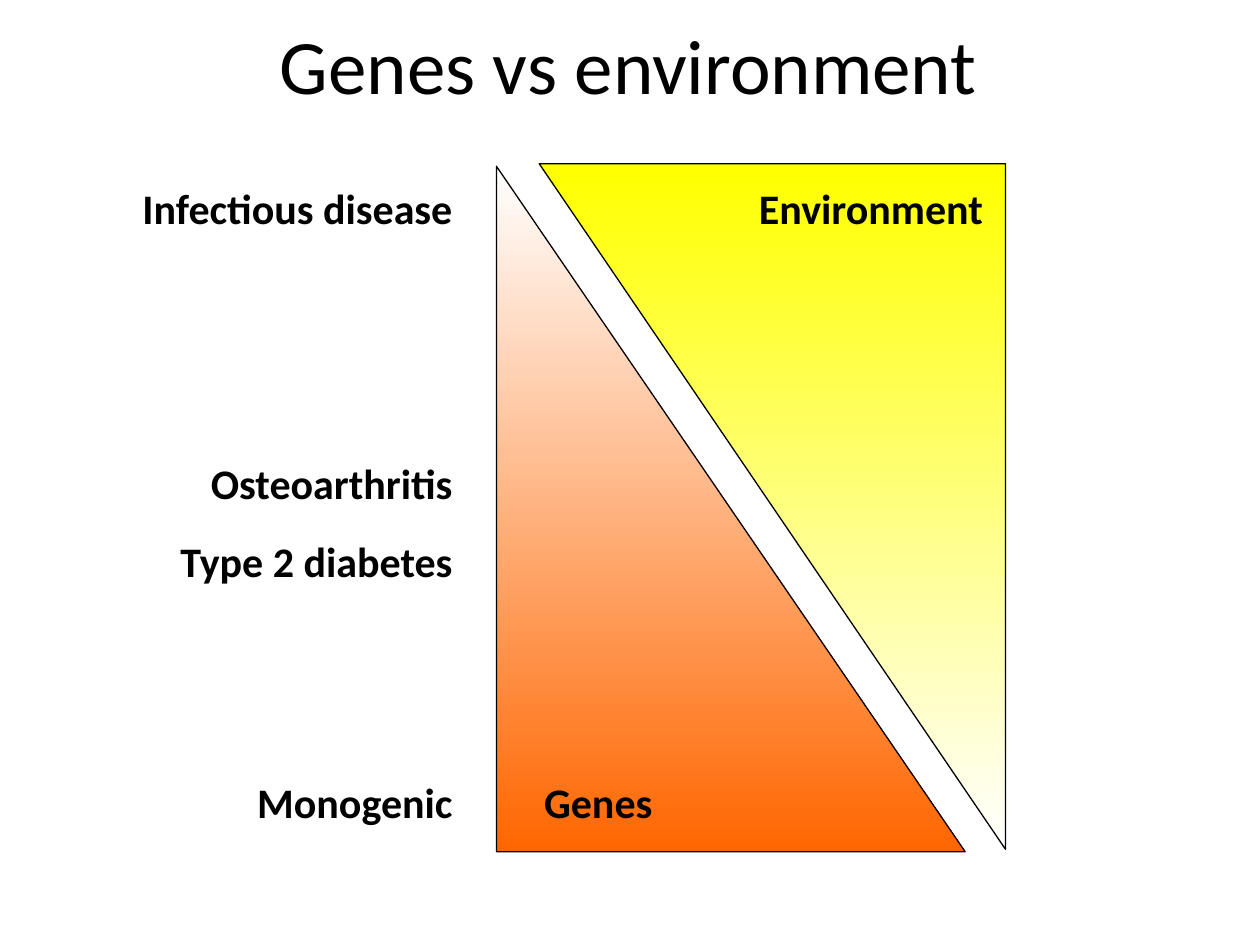
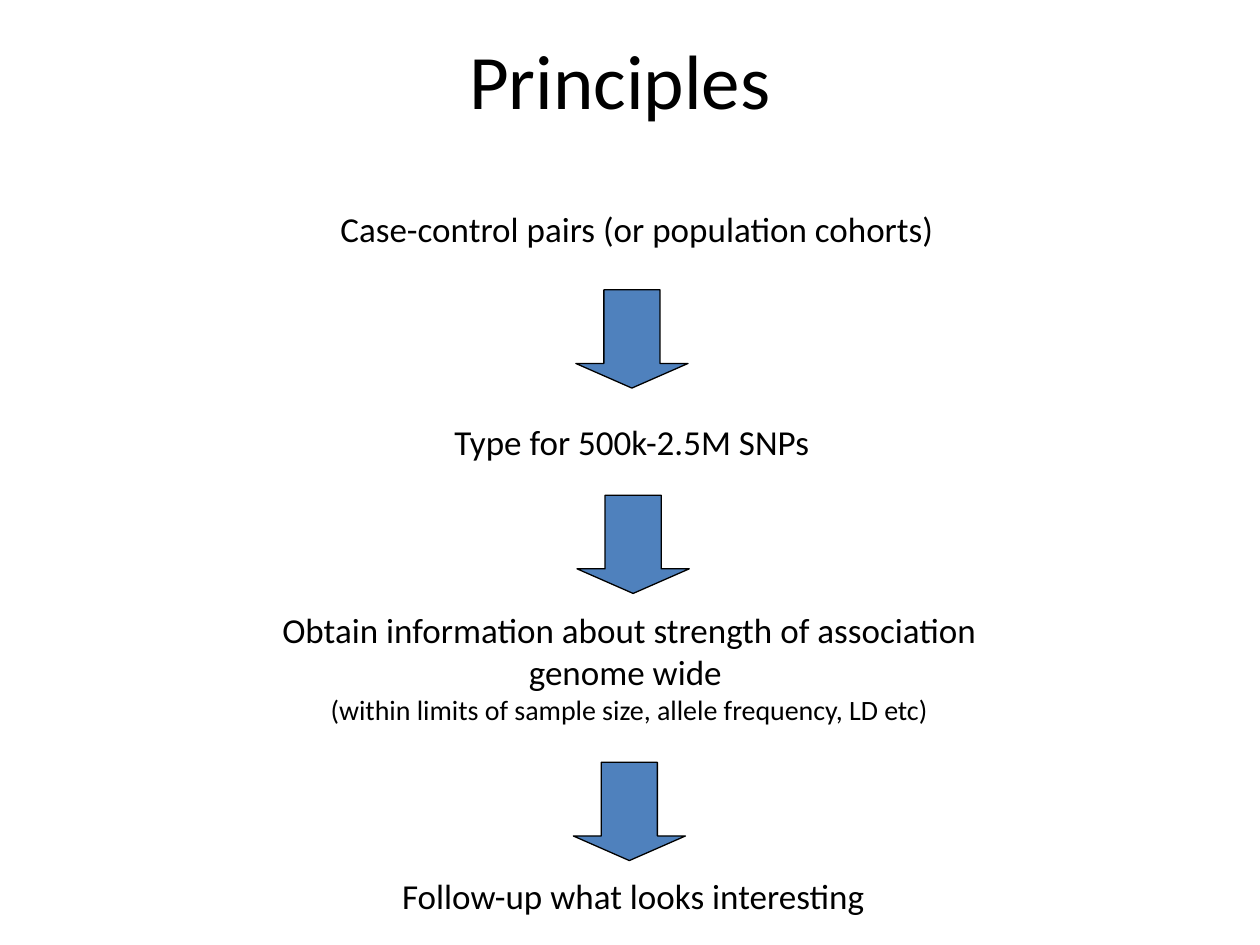
from dataclasses import dataclass
from typing import Any

from pptx import Presentation
from pptx.dml.color import RGBColor
from pptx.enum import shapes, text
from pptx.util import Inches, Pt

WIDE, HIGH = Inches(10), Inches(7.5)
COLS, ROWS = 100, 75
LEFT, MID, RIGHT = text.PP_ALIGN.LEFT, text.PP_ALIGN.CENTER, text.PP_ALIGN.RIGHT
KIND = shapes.MSO_SHAPE


@dataclass(frozen=True)
class Theme:
    font: str = "Calibri"
    ink: str = "000000"
    pale: str = "FFFFFF"
    world: str = "FFFF00"
    gene: str = "FF6600"
    arrow: str = "4F81BD"
    title: int = 44
    label: int = 24
    step: int = 20
    note: int = 16
    line: float = 0.75


@dataclass(frozen=True)
class Box:
    col: float
    row: float
    cols: float
    rows: float

    def place(self) -> tuple[int, int, int, int]:
        return (round(WIDE * self.col / COLS), round(HIGH * self.row / ROWS),
                round(WIDE * self.cols / COLS), round(HIGH * self.rows / ROWS))


@dataclass(frozen=True)
class Label:
    words: str
    box: Box
    align: Any = MID
    size: int = 20
    bold: bool = False
    wrap: bool = True
    anchor: Any = text.MSO_ANCHOR.TOP
    note: str = ""


@dataclass(frozen=True)
class Wedge:
    box: Box
    tint: str
    turn: int = 0


LOOK = Theme()


def apply(item: Any, form: dict[str, Any]) -> None:
    for name, value in form.items():
        setattr(item, name, value)


def style(run: Any, size: int, bold: bool) -> None:
    apply(run.font, {"name": LOOK.font, "size": Pt(size), "bold": bold})
    run.font.color.rgb = RGBColor.from_string(LOOK.ink)


def write(slide: Any, label: Label) -> None:
    frame = slide.shapes.add_textbox(*label.box.place()).text_frame
    apply(frame, {"word_wrap": label.wrap, "vertical_anchor": label.anchor})
    for num, line in enumerate(label.words.split("\n")):
        para = frame.add_paragraph() if num else frame.paragraphs[0]
        para.alignment = label.align
        run = para.add_run()
        run.text = line
        style(run, label.size, label.bold)
    if label.note:
        para.add_line_break()
        run = para.add_run()
        run.text = label.note
        style(run, LOOK.note, label.bold)


def draw(slide: Any, kind: Any, box: Box) -> Any:
    shape = slide.shapes.add_shape(kind, *box.place())
    shape.shadow.inherit = False
    shape.line.color.rgb = RGBColor.from_string(LOOK.ink)
    shape.line.width = Pt(LOOK.line)
    return shape


def shade(slide: Any, wedge: Wedge) -> None:
    shape = draw(slide, KIND.RIGHT_TRIANGLE, wedge.box)
    shape.rotation = wedge.turn
    shape.fill.gradient()
    shape.fill.gradient_angle = 270
    for stop, tint, spot in zip(shape.fill.gradient_stops, (LOOK.pale, wedge.tint), (0, 1)):
        stop.color.rgb = RGBColor.from_string(tint)
        stop.position = spot


def point(slide: Any, box: Box) -> None:
    shape = draw(slide, KIND.DOWN_ARROW, box)
    shape.adjustments[1] = 0.25
    shape.fill.solid()
    shape.fill.fore_color.rgb = RGBColor.from_string(LOOK.arrow)


def start(deck: Any, title: str, row: float) -> Any:
    slide = deck.slides.add_slide(deck.slide_layouts[6])
    write(slide, Label(title, Box(4.9, row, 90, 12.5), size=LOOK.title,
                       anchor=text.MSO_ANCHOR.MIDDLE))
    return slide


def contrast(deck: Any) -> None:
    slide = start(deck, "Genes vs environment", -1.2)
    for wedge in (Wedge(Box(42.8, 13, 37, 54.4), LOOK.world, 180),
                  Wedge(Box(39.4, 13.2, 37.2, 54.4), LOOK.gene)):
        shade(slide, wedge)
    ills = {"Infectious disease": 14, "Osteoarthritis": 35.8,
            "Type 2 diabetes": 42, "Monogenic": 61.1}
    for words, row in ills.items():
        write(slide, Label(words, Box(4, row, 32.9, 5), RIGHT, LOOK.label, True))
    write(slide, Label("Environment", Box(47.6, 14, 31.4, 5), RIGHT, LOOK.label, True))
    write(slide, Label("Genes", Box(42.2, 61.1, 10.7, 5), LEFT, LOOK.label, True, False))


def flow(deck: Any) -> None:
    slide = start(deck, "Principles ", 0)
    steps = (
        Label("Case-control pairs (or population cohorts)", Box(25.8, 16, 49.5, 4.4),
              size=LOOK.step, wrap=False),
        Label("Type for 500k-2.5M SNPs", Box(34.9, 32.9, 30.5, 4.4),
              size=LOOK.step, wrap=False),
        Label("Obtain information about strength of association\ngenome wide ",
              Box(21.1, 47.8, 57.7, 10.4), size=LOOK.step, wrap=False,
              note="(within limits of sample size, allele frequency, LD etc)"),
        Label("Follow-up what looks interesting", Box(30.7, 68.9, 39.1, 4.4),
              size=LOOK.step, wrap=False),
    )
    for step in steps:
        write(slide, step)
    for col, row in ((45.7, 23), (45.8, 39.3), (45.5, 60.5)):
        point(slide, Box(col, row, 8.9, 7.8))


def main() -> None:
    deck = Presentation()
    apply(deck, {"slide_width": WIDE, "slide_height": HIGH})
    contrast(deck)
    flow(deck)
    deck.save("out.pptx")


if __name__ == "__main__":
    main()
